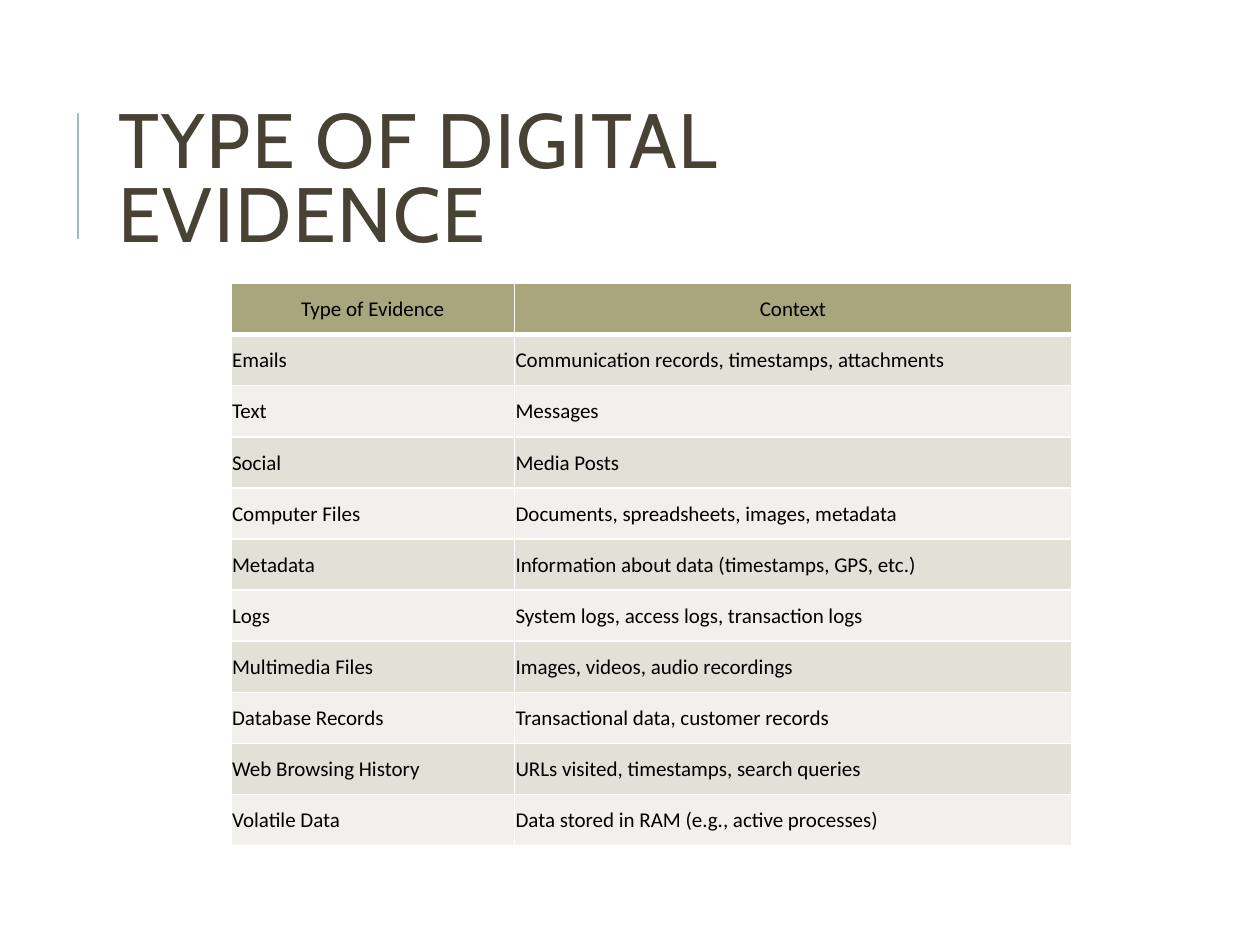
from pptx import Presentation
from pptx.dml.color import RGBColor
from pptx.enum.shapes import MSO_CONNECTOR
from pptx.enum.text import MSO_ANCHOR, MSO_AUTO_SIZE, PP_ALIGN
from pptx.oxml.ns import qn
from pptx.util import Pt
from lxml.etree import SubElement, Element

COLORS = {
    "title": "474233",
    "accent": "9CBEBD",
    "text": "000000",
    "header": "A9A57C",
    "odd_row": "E2E1D7",
    "even_row": "F1F0EC",
    "border": "FFFFFF",
}
HEADER = ("Type of Evidence", "Context")
EVIDENCE = [
    ("Emails", "Communication records, timestamps, attachments"),
    ("Text", "Messages"),
    ("Social", "Media Posts"),
    ("Computer Files", "Documents, spreadsheets, images, metadata"),
    ("Metadata", "Information about data (timestamps, GPS, etc.)"),
    ("Logs", "System logs, access logs, transaction logs"),
    ("Multimedia Files", "Images, videos, audio recordings"),
    ("Database Records", "Transactional data, customer records"),
    ("Web Browsing History", "URLs visited, timestamps, search queries"),
    ("Volatile Data", "Data stored in RAM (e.g., active processes)"),
]
COLUMN_WIDTHS = (162, 318.2)
ROW_HEIGHT = 29.2


def color(name):
    return RGBColor.from_string(COLORS[name])


def format_run(run, font_name, size, color_name):
    run.font.name = font_name
    run.font.size = Pt(size)
    run.font.color.rgb = color(color_name)


def add_title(page, text):
    title = page.shapes.title
    title.left, title.top, title.width, title.height = Pt(60.5), Pt(46), Pt(574), Pt(118)
    frame = title.text_frame
    frame.text = text
    frame.word_wrap = True
    frame.auto_size = MSO_AUTO_SIZE.NONE
    frame.vertical_anchor = MSO_ANCHOR.MIDDLE
    para = frame.paragraphs[0]
    para.alignment = PP_ALIGN.LEFT
    para.line_spacing = 0.8
    run = para.runs[0]
    format_run(run, "Cabin", 44, "title")
    run.font._element.set("spc", "100")


def add_accent_line(page):
    line = page.shapes.add_connector(
        MSO_CONNECTOR.STRAIGHT, Pt(44.6), Pt(136.8), Pt(44.6), Pt(64.8))
    line.line.color.rgb = color("accent")
    line.line.width = Pt(1.5)
    SubElement(line._element.spPr, qn("a:effectLst"))


def set_borders(cell, top, bottom):
    """Draw all four cell edges; the left and right ones are 1 pt wide."""
    properties = cell._tc.get_or_add_tcPr()
    edges = (("a:lnL", 1), ("a:lnR", 1), ("a:lnT", top), ("a:lnB", bottom))
    for index, (tag, width) in enumerate(edges):
        edge = Element(qn(tag), w=str(Pt(width)))
        fill = SubElement(edge, qn("a:solidFill"))
        SubElement(fill, qn("a:srgbClr"), val=COLORS["border"])
        properties.insert(index, edge)


def fill_cell(cell, text, fill_name, alignment):
    cell.text_frame.text = text
    cell.vertical_anchor = MSO_ANCHOR.MIDDLE
    cell.margin_left = cell.margin_right = cell.margin_top = Pt(0.6)
    cell.margin_bottom = 0
    cell.fill.solid()
    cell.fill.fore_color.rgb = color(fill_name)
    para = cell.text_frame.paragraphs[0]
    para.alignment = alignment
    format_run(para.runs[0], "Calibri", 12, "text")


def add_evidence_table(page):
    rows = [HEADER] + EVIDENCE
    table = page.shapes.add_table(
        len(rows), len(HEADER), Pt(132), Pt(162),
        Pt(sum(COLUMN_WIDTHS)), Pt(ROW_HEIGHT * len(rows))).table
    for column, width in zip(table.columns, COLUMN_WIDTHS):
        column.width = Pt(width)
    for r, texts in enumerate(rows):
        table.rows[r].height = Pt(ROW_HEIGHT)
        if r == 0:
            fill_name, alignment = "header", PP_ALIGN.CENTER
        else:
            fill_name = "odd_row" if r % 2 else "even_row"
            alignment = PP_ALIGN.LEFT
        for c, text in enumerate(texts):
            cell = table.cell(r, c)
            fill_cell(cell, text, fill_name, alignment)
            set_borders(cell, top=3 if r == 1 else 1, bottom=3 if r == 0 else 1)


def main():
    deck = Presentation()
    deck.slide_width, deck.slide_height = Pt(720), Pt(540)
    page = deck.slides.add_slide(deck.slide_layouts[5])
    add_accent_line(page)
    add_title(page, "TYPE OF DIGITAL EVIDENCE")
    add_evidence_table(page)
    deck.save("out.pptx")


if __name__ == "__main__":
    main()
